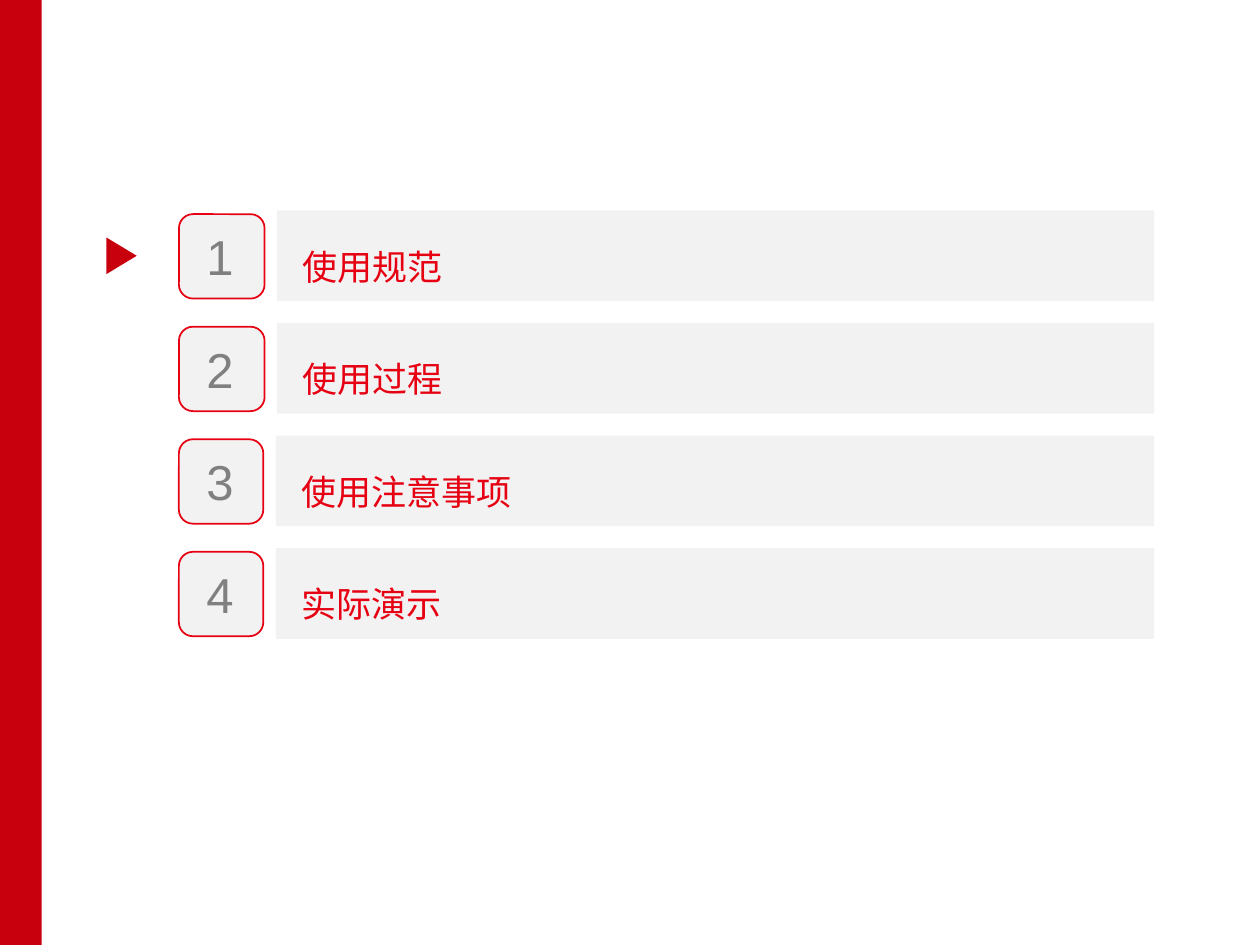
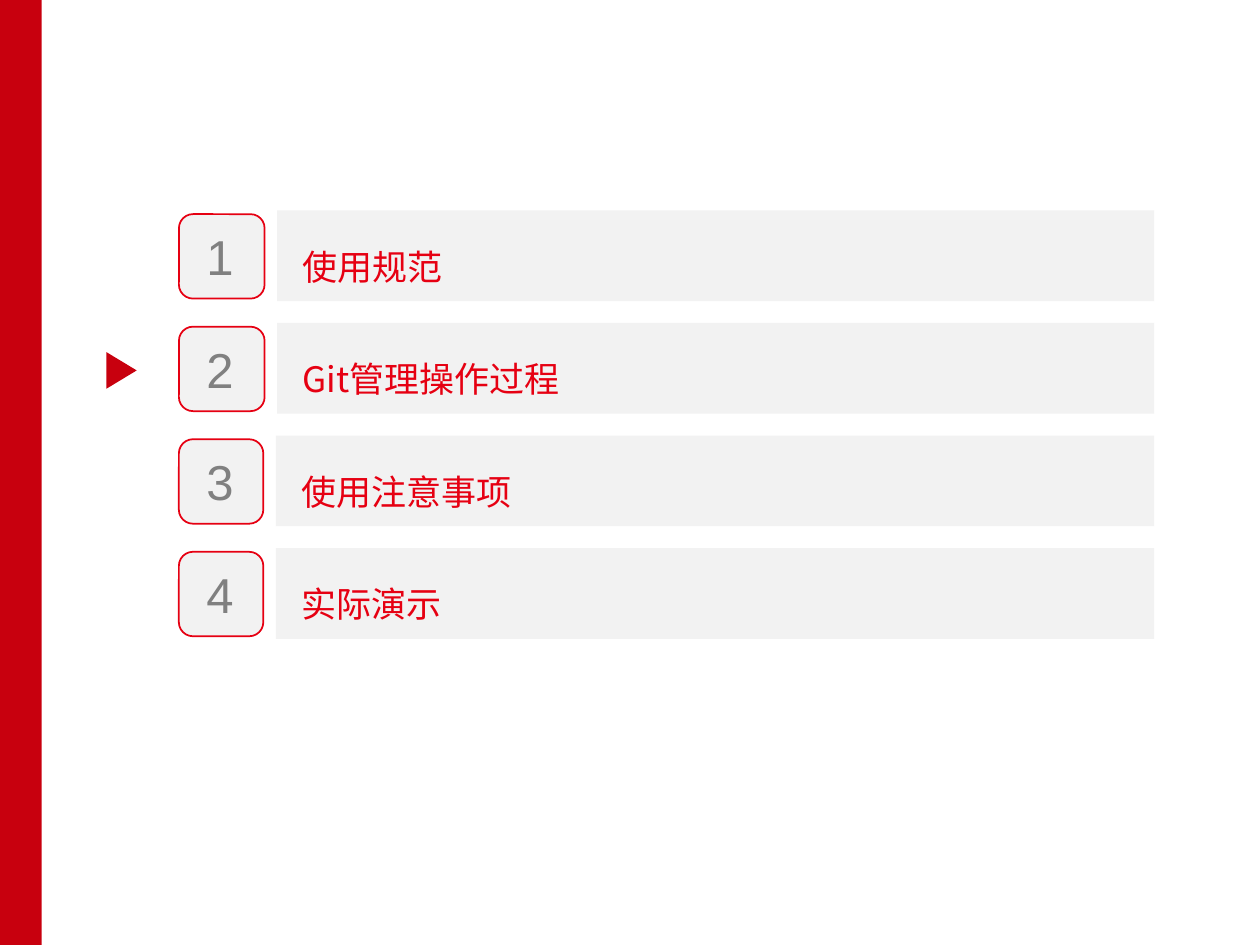
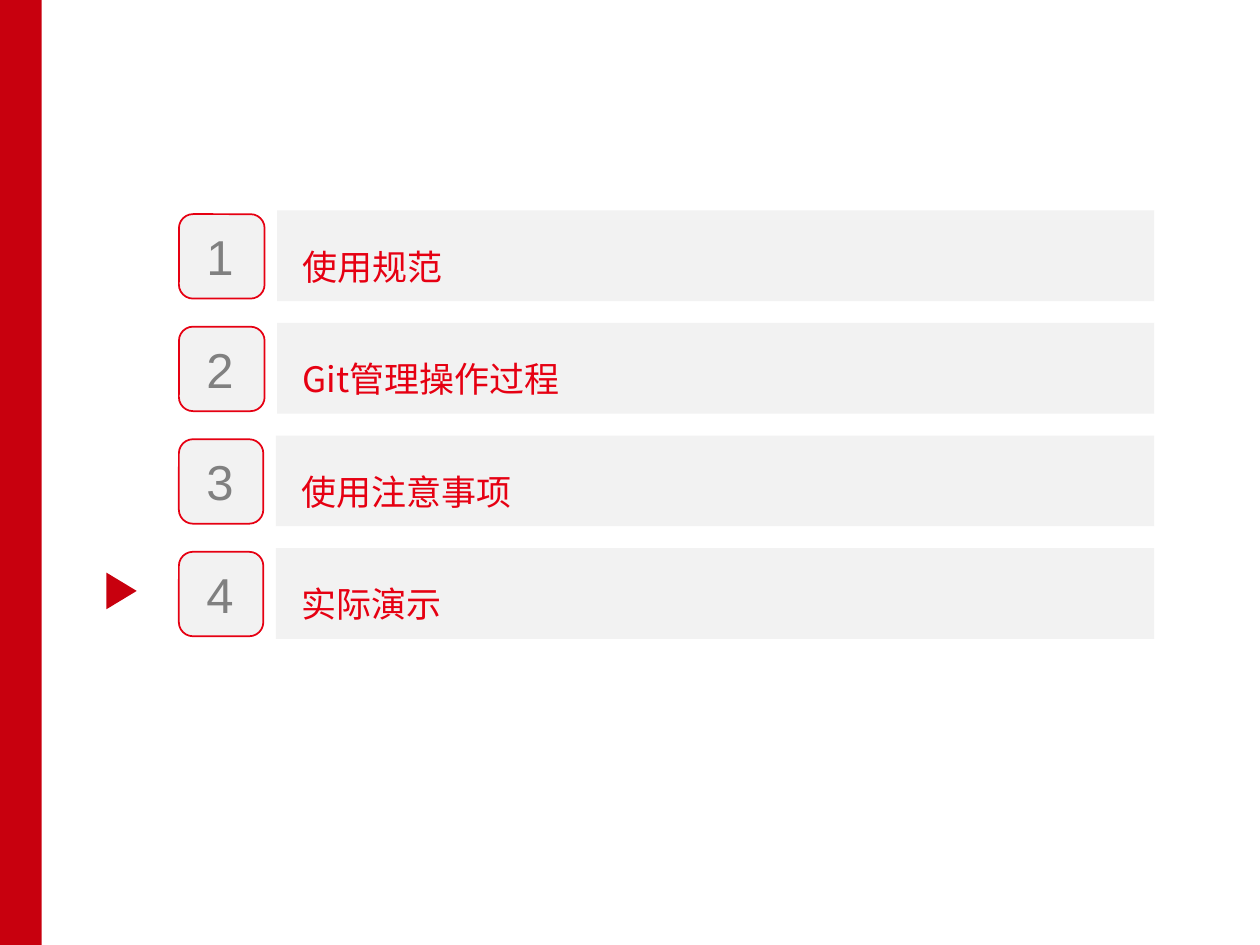
"""Build three agenda slides, each with a marker beside the current section."""
from lxml.etree import SubElement
from pptx import Presentation
from pptx.dml.color import RGBColor
from pptx.enum.shapes import MSO_SHAPE
from pptx.enum.text import MSO_ANCHOR, PP_ALIGN
from pptx.oxml.ns import qn
from pptx.util import Inches, Pt

BAND_RED = RGBColor(0xC8, 0x00, 0x0E)
TEXT_RED = RGBColor(0xE6, 0x00, 0x12)
PALE_GRAY = RGBColor(0xF2, 0xF2, 0xF2)
NUMBER_GRAY = RGBColor(0x80, 0x80, 0x80)

FIRST_ROW_TOP = 1.67
ROW_PITCH = (4.35 - FIRST_ROW_TOP) / 3
ROW_HEIGHT = 0.72
BADGE_LEFT = 1.42
BADGE_HEIGHT = 0.67
BADGE_WIDTHS = [0.68, 0.68, 0.67, 0.67]
BADGE_GAP = 0.1
BAR_RIGHT = 9.16

LABEL_FORMAT = {"name": "Noto Sans CJK SC", "size": Pt(20)}
NUMBER_FORMAT = {"name": "Arial", "size": Pt(28)}
LABEL_FRAME = {"margin_left": Inches(0.2), "vertical_anchor": MSO_ANCHOR.MIDDLE, "word_wrap": True}
LABEL_PARAGRAPH = {"alignment": PP_ALIGN.LEFT, "line_spacing": 1.5}

AGENDAS = [
    (["使用规范", "使用过程", "使用注意事项", "实际演示"], 1.91),
    (["使用规范", "Git管理操作过程", "使用注意事项", "实际演示"], 2.82),
    (["使用规范", "Git管理操作过程", "使用注意事项", "实际演示"], 4.57),
]


def apply_format(target, values):
    """Set each named attribute on the target."""
    for name, value in values.items():
        setattr(target, name, value)


class AgendaDeck:
    """Holds the presentation, its style and the current slide."""

    def __init__(self):
        """Start an empty 10 by 7.5 inch presentation."""
        self.presentation = Presentation()
        self.presentation.slide_width = Inches(10)
        self.presentation.slide_height = Inches(7.5)
        self.slide = None

    def add_slide(self):
        """Add a blank slide with the red side band."""
        self.slide = self.presentation.slides.add_slide(self.presentation.slide_layouts[6])
        self.add_block(self.slide.shapes, MSO_SHAPE.RECTANGLE, (-0.01, 0, 0.34, 7.5), BAND_RED)

    def add_block(self, shapes, kind, box, fill, line=None):
        """Add a flat filled shape, outlined if a line colour is given."""
        shape = shapes.add_shape(kind, *map(Inches, box))
        shape.shadow.inherit = False
        shape.fill.solid()
        shape.fill.fore_color.rgb = fill
        if line is None:
            shape.line.fill.background()
        else:
            shape.line.color.rgb = line
            shape.line.width = Pt(1)
        return shape

    def add_text(self, shape, text, font_format, color):
        """Write one formatted run and return its paragraph."""
        paragraph = shape.text_frame.paragraphs[0]
        run = paragraph.add_run()
        run.text = text
        apply_format(run.font, font_format)
        run.font.color.rgb = color
        east_asian = SubElement(run.font._element, qn("a:ea"))
        east_asian.set("typeface", font_format["name"])
        return paragraph

    def add_marker(self, top):
        """Add the triangle that points at the current section."""
        box = (0.82, top, 0.29, 0.24)
        marker = self.add_block(self.slide.shapes, MSO_SHAPE.ISOSCELES_TRIANGLE, box, BAND_RED)
        marker.rotation = 90

    def add_row(self, index, label):
        """Add one grouped agenda row: badge, label bar and number."""
        shapes = self.slide.shapes.add_group_shape().shapes
        top = FIRST_ROW_TOP + index * ROW_PITCH
        badge_width = BADGE_WIDTHS[index]
        badge_box = (BADGE_LEFT, top + 0.03, badge_width, BADGE_HEIGHT)
        self.add_block(shapes, MSO_SHAPE.ROUNDED_RECTANGLE, badge_box, PALE_GRAY, TEXT_RED)

        bar_left = BADGE_LEFT + badge_width + BADGE_GAP
        bar_box = (bar_left, top, BAR_RIGHT - bar_left, ROW_HEIGHT)
        bar = self.add_block(shapes, MSO_SHAPE.RECTANGLE, bar_box, PALE_GRAY)
        apply_format(bar.text_frame, LABEL_FRAME)
        paragraph = self.add_text(bar, label, LABEL_FORMAT, TEXT_RED)
        apply_format(paragraph, LABEL_PARAGRAPH)

        number_box = (1.54, top + 0.08, 0.42, 0.57)
        number = shapes.add_textbox(*map(Inches, number_box))
        number.text_frame.word_wrap = False
        self.add_text(number, str(index + 1), NUMBER_FORMAT, NUMBER_GRAY)


def main():
    """Build and save the agenda slides."""
    deck = AgendaDeck()
    for labels, marker_top in AGENDAS:
        deck.add_slide()
        deck.add_marker(marker_top)
        for index, label in enumerate(labels):
            deck.add_row(index, label)
    deck.presentation.save("out.pptx")


if __name__ == "__main__":
    main()
